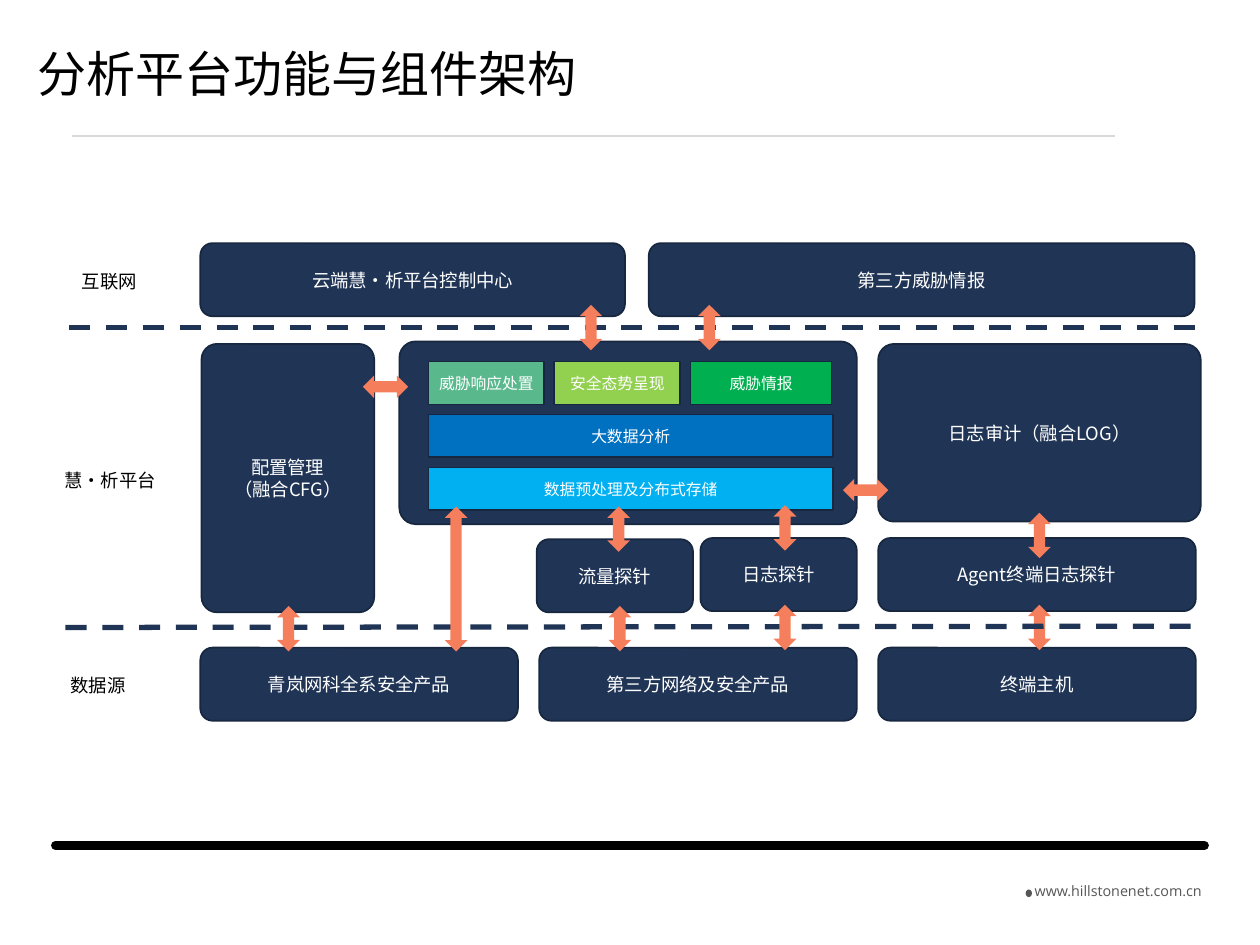
from dataclasses import dataclass

from lxml.etree import SubElement
from pptx import Presentation
from pptx.dml.color import RGBColor
from pptx.enum.dml import MSO_LINE
from pptx.enum.shapes import MSO_CONNECTOR, MSO_SHAPE
from pptx.enum.text import MSO_ANCHOR, PP_ALIGN
from pptx.oxml.ns import qn
from pptx.util import Inches, Pt


@dataclass(frozen=True)
class Theme:
    font: str = "Noto Sans CJK SC"
    footer_font: str = "Open Sans"
    black: str = "000000"
    white: str = "FFFFFF"
    gray: str = "565656"
    rule: str = "D9D9D9"
    navy: str = "203556"
    outline: str = "17273F"
    orange: str = "F57E5D"
    sky: str = "00B0F0"
    blue: str = "0070C0"
    lime: str = "92D050"
    mint: str = "59B98D"
    green: str = "00B050"
    title_size: float = 28
    label_size: float = 10.5
    module_size: float = 9
    footer_size: float = 8.2


class SlideBuilder:
    def __init__(self, slide, theme):
        self.slide = slide
        self.theme = theme

    def apply(self, target, values):
        for name, value in values.items():
            setattr(target, name, value)

    def place(self, shape, left, top, width, height):
        names = ("left", "top", "width", "height")
        self.apply(shape, dict(zip(names, map(Inches, (left, top, width, height)))))

    def set_text(self, shape, text, size, color, align, anchor, inset=0.04, spacing=1.0, font=None):
        frame = shape.text_frame
        margins = ("margin_left", "margin_right", "margin_top", "margin_bottom")
        self.apply(frame, {name: Inches(inset) for name in margins})
        self.apply(frame, {"word_wrap": True, "vertical_anchor": anchor, "text": text})
        name = font or self.theme.font
        for paragraph in frame.paragraphs:
            self.apply(paragraph, {"alignment": align, "line_spacing": spacing})
            for run in paragraph.runs:
                self.apply(run.font, {"size": Pt(size), "name": name})
                run.font.color.rgb = RGBColor.from_string(color)
                SubElement(run.font._element, qn("a:ea")).set("typeface", name)

    def title(self, text, *box):
        shape = self.slide.shapes.title
        self.place(shape, *box)
        self.set_text(shape, text, self.theme.title_size, self.theme.black,
                      PP_ALIGN.LEFT, MSO_ANCHOR.MIDDLE, 0.1, 0.9)

    def label(self, text, *box):
        shape = self.slide.shapes.add_textbox(*map(Inches, box))
        self.set_text(shape, text, self.theme.label_size, self.theme.black,
                      PP_ALIGN.LEFT, MSO_ANCHOR.TOP)

    def footer(self, text, *box):
        shape = self.slide.shapes.add_textbox(*map(Inches, box))
        self.set_text(shape, text, self.theme.footer_size, self.theme.gray, PP_ALIGN.CENTER,
                      MSO_ANCHOR.TOP, spacing=1.5, font=self.theme.footer_font)

    def shape(self, kind, fill, *box, outline=None):
        shape = self.slide.shapes.add_shape(kind, *map(Inches, box))
        shape.shadow.inherit = False
        shape.fill.solid()
        shape.fill.fore_color.rgb = RGBColor.from_string(fill)
        if outline:
            shape.line.color.rgb = RGBColor.from_string(outline)
            shape.line.width = Pt(1)
        else:
            shape.line.fill.background()
        return shape

    def component(self, text, *box, corner=0.167):
        shape = self.shape(MSO_SHAPE.ROUNDED_RECTANGLE, self.theme.navy, *box,
                           outline=self.theme.outline)
        shape.adjustments[0] = corner
        if text:
            self.set_text(shape, text, self.theme.label_size, self.theme.white,
                          PP_ALIGN.CENTER, MSO_ANCHOR.MIDDLE)

    def module(self, text, fill, *box):
        shape = self.shape(MSO_SHAPE.RECTANGLE, fill, *box, outline=self.theme.outline)
        self.set_text(shape, text, self.theme.module_size, self.theme.white,
                      PP_ALIGN.CENTER, MSO_ANCHOR.MIDDLE)

    def vertical_arrow(self, center, top, length=0.36):
        self.shape(MSO_SHAPE.UP_DOWN_ARROW, self.theme.orange, center - 0.09, top, 0.18, length)

    def horizontal_arrow(self, left, middle):
        self.shape(MSO_SHAPE.LEFT_RIGHT_ARROW, self.theme.orange, left, middle - 0.09, 0.36, 0.18)

    def line(self, color, width, *ends, dash=None, cap="flat"):
        connector = self.slide.shapes.add_connector(MSO_CONNECTOR.STRAIGHT, *map(Inches, ends))
        connector.line.color.rgb = RGBColor.from_string(color)
        self.apply(connector.line, {"width": Pt(width), "dash_style": dash})
        properties = connector._element.spPr
        properties.find(qn("a:ln")).set("cap", cap)
        SubElement(properties, qn("a:effectLst"))


def main():
    presentation = Presentation()
    presentation.slide_width = Inches(10)
    presentation.slide_height = Inches(7.5)
    theme = Theme()
    builder = SlideBuilder(presentation.slides.add_slide(presentation.slide_layouts[5]), theme)

    builder.line(theme.black, 5, 0.44, 6.71, 9.56, 6.71, cap="rnd")
    builder.footer("www.hillstonenet.com.cn", 8, 6.89, 1.75, 0.31)
    builder.shape(MSO_SHAPE.OVAL, theme.gray, 8.14, 7.06, 0.05, 0.06)
    builder.line(theme.rule, 1.5, 0.57, 1.08, 8.85, 1.08)
    builder.title("分析平台功能与组件架构", 0.2, 0.36, 8.05, 0.5)

    for text, left, top, width in (
        ("互联网", 0.61, 2.1, 0.66),
        ("慧·析平台", 0.47, 3.68, 0.82),
        ("数据源", 0.52, 5.31, 0.72),
    ):
        builder.label(text, left, top, width, 0.25)

    for text, left, top, width in (
        ("云端慧·析平台控制中心", 1.59, 1.93, 3.37),
        ("第三方威胁情报", 5.15, 1.93, 4.33),
        ("流量探针", 4.26, 4.28, 1.24),
        ("日志探针", 5.56, 4.27, 1.24),
        ("Agent终端日志探针", 6.97, 4.27, 2.52),
    ):
        builder.component(text, left, top, width, 0.58)

    sources = ("青岚网科全系安全产品", "第三方网络及安全产品", "终端主机")
    for column, text in enumerate(sources):
        builder.component(text, 1.59 + 2.69 * column, 5.14, 2.52, 0.58)

    for text, *box in (
        ("配置管理\n（融合CFG）", 1.6, 2.73, 1.37, 2.13),
        ("", 3.17, 2.71, 3.63, 1.45),
        ("日志审计（融合LOG）", 6.97, 2.73, 2.56, 1.41),
    ):
        builder.component(text, *box, corner=0.089)

    for text, fill, left, top, width in (
        ("威胁响应处置", theme.mint, 3.4, 2.87, 0.92),
        ("安全态势呈现", theme.lime, 4.4, 2.87, 1),
        ("威胁情报", theme.green, 5.48, 2.87, 1.12),
        ("大数据分析", theme.blue, 3.4, 3.29, 3.21),
        ("数据预处理及分布式存储", theme.sky, 3.4, 3.71, 3.21),
    ):
        builder.module(text, fill, left, top, width, 0.34)

    builder.vertical_arrow(8.25, 4.8)
    for ends in ((0.55, 2.6, 9.53, 2.6), (0.52, 4.98, 9.49, 4.97)):
        builder.line(theme.navy, 3, *ends, dash=MSO_LINE.DASH)

    for left, middle in ((2.88, 3.07), (6.69, 3.89)):
        builder.horizontal_arrow(left, middle)
    for center, top in (
        (4.69, 2.42), (5.63, 2.42),
        (4.91, 4.02), (6.23, 4.01), (8.25, 4.07),
        (2.29, 4.81), (4.92, 4.81), (6.23, 4.8),
    ):
        builder.vertical_arrow(center, top)
    builder.vertical_arrow(3.62, 4.02, 1.15)

    presentation.save("out.pptx")


if __name__ == "__main__":
    main()
